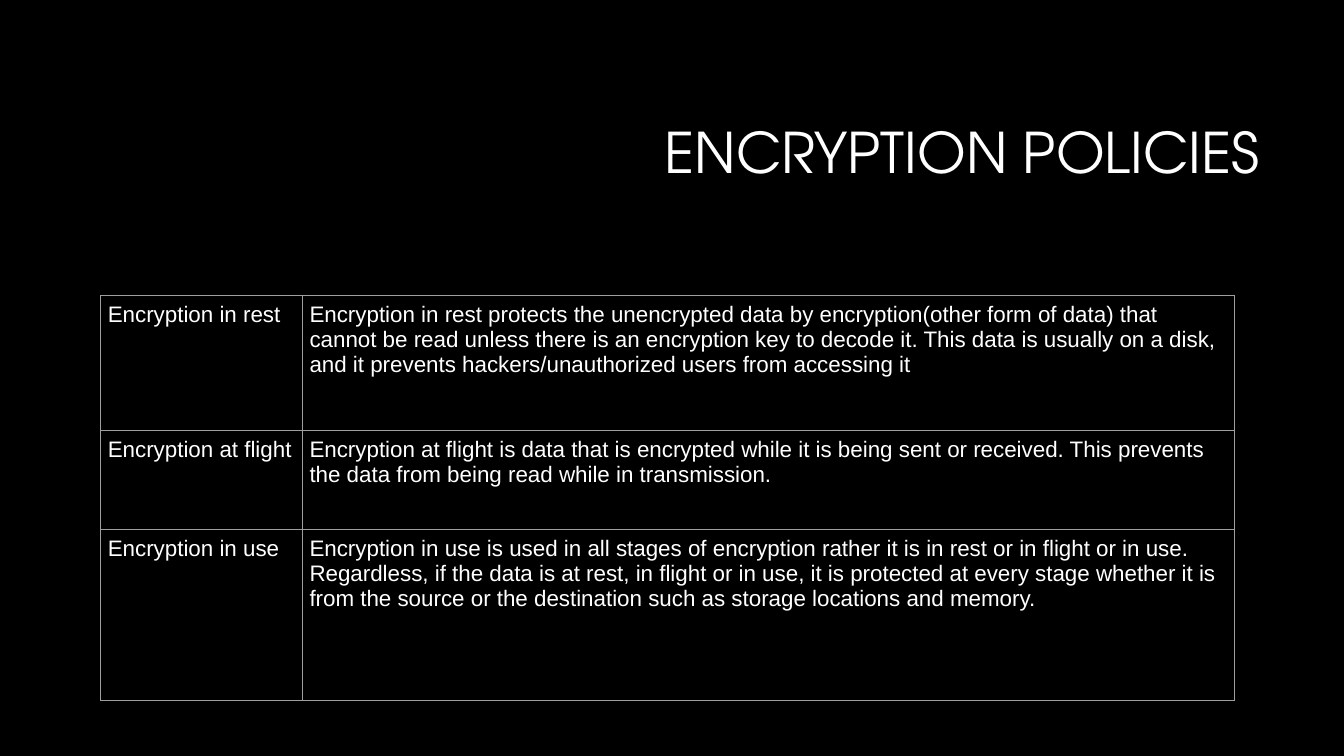
"""Build the encryption policies slide."""
from lxml.etree import SubElement
from pptx import Presentation
from pptx.dml.color import RGBColor
from pptx.enum.text import MSO_ANCHOR, PP_ALIGN
from pptx.oxml.ns import qn
from pptx.util import Inches, Pt

TITLE = "ENCRYPTION POLICIES"
POLICIES = [
    ("Encryption in rest",
     "Encryption in rest protects the unencrypted data by encryption(other form of data) "
     "that cannot be read unless there is an encryption key to decode it. This data is "
     "usually on a disk, and it prevents hackers/unauthorized users from accessing it"),
    ("Encryption at flight",
     "Encryption at flight is data that is encrypted while it is being sent or received. "
     "This prevents the data from being read while in transmission."),
    ("Encryption in use",
     "Encryption in use is used in all stages of encryption rather it is in rest or in "
     "flight or in use. Regardless, if the data is at rest, in flight or in use, it is "
     "protected at every stage whether it is from the source or the destination such as "
     "storage locations and memory."),
]
COLUMN_WIDTHS = (2, 9.24)
ROW_HEIGHTS = (1.34, 0.98, 1.7)
CELL_MARGIN = Inches(0.07)

BLACK = RGBColor(0x00, 0x00, 0x00)
WHITE = RGBColor(0xFF, 0xFF, 0xFF)
GREY = RGBColor(0x9E, 0x9E, 0x9E)


def style_text(paragraph, family, size):
    paragraph.font.name = family
    paragraph.font.size = Pt(size)
    paragraph.font.color.rgb = WHITE


def add_borders(cell):
    properties = cell._tc.get_or_add_tcPr()
    for position, side in enumerate(("a:lnL", "a:lnR", "a:lnT", "a:lnB")):
        border = properties.makeelement(qn(side), {"w": str(Pt(0.75))})
        fill = SubElement(border, qn("a:solidFill"))
        SubElement(fill, qn("a:srgbClr"), val=str(GREY))
        properties.insert(position, border)


def add_title(slide):
    title = slide.shapes.title
    title.left, title.top = Inches(3.17), Inches(0.84)
    title.width, title.height = Inches(9.42), Inches(1.41)
    title.text_frame.text = TITLE
    title.text_frame.vertical_anchor = MSO_ANCHOR.MIDDLE
    heading = title.text_frame.paragraphs[0]
    heading.alignment = PP_ALIGN.RIGHT
    heading.line_spacing = 0.9
    style_text(heading, "TeX Gyre Adventor", 40)


def add_policies(slide):
    table = slide.shapes.add_table(
        len(POLICIES), len(COLUMN_WIDTHS), Inches(1), Inches(2.93),
        Inches(sum(COLUMN_WIDTHS)), Inches(sum(ROW_HEIGHTS))).table
    table.first_row = table.horz_banding = False
    for column, width in zip(table.columns, COLUMN_WIDTHS):
        column.width = Inches(width)
    for row, height, policy in zip(table.rows, ROW_HEIGHTS, POLICIES):
        row.height = Inches(height)
        for cell, wording in zip(row.cells, policy):
            cell.text = wording
            cell.margin_left = cell.margin_right = CELL_MARGIN
            cell.margin_top = cell.margin_bottom = CELL_MARGIN
            cell.fill.background()
            add_borders(cell)
            style_text(cell.text_frame.paragraphs[0], "Arial", 16)


def main():
    deck = Presentation()
    deck.slide_width, deck.slide_height = Inches(13.33), Inches(7.5)
    slide = deck.slides.add_slide(deck.slide_layouts[5])
    slide.background.fill.solid()
    slide.background.fill.fore_color.rgb = BLACK
    add_title(slide)
    add_policies(slide)
    deck.save("out.pptx")


if __name__ == "__main__":
    main()
